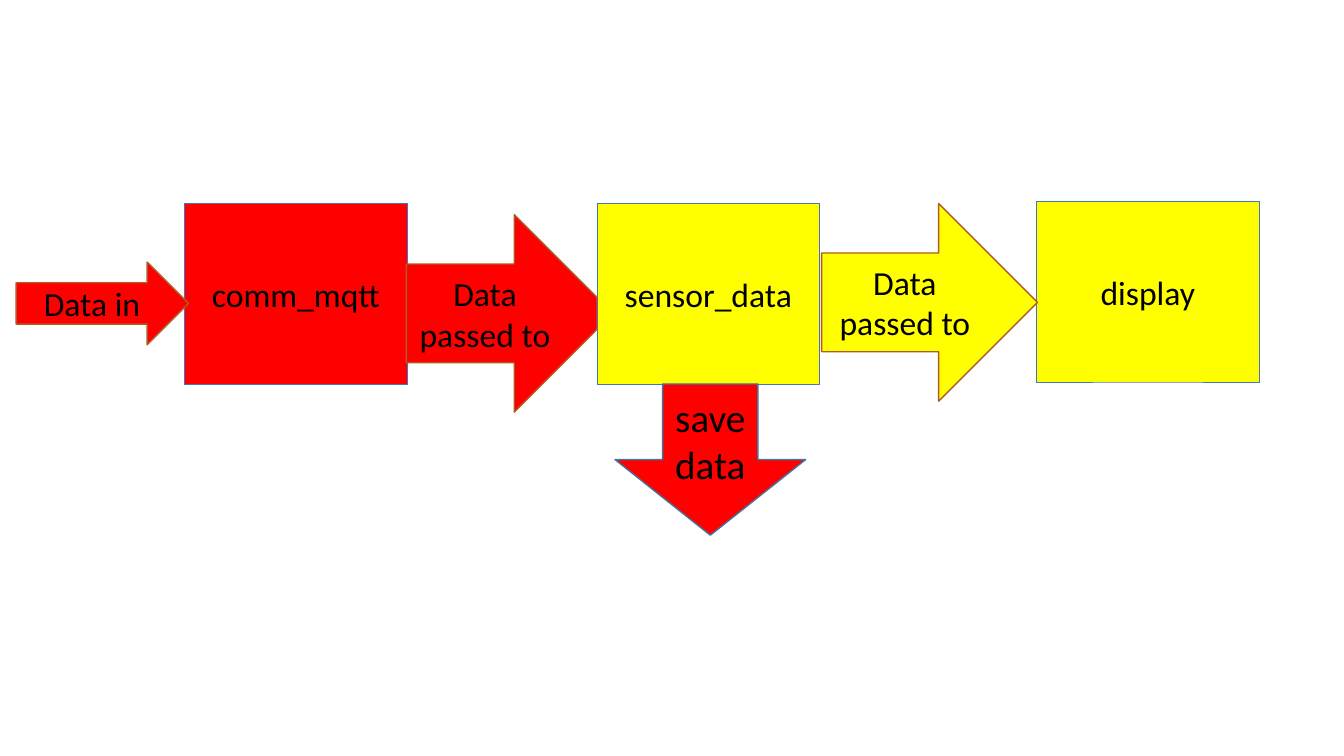
from pptx import Presentation
from pptx.dml.color import RGBColor
from pptx.enum.shapes import MSO_SHAPE
from pptx.enum.text import MSO_ANCHOR, PP_ALIGN
from pptx.util import Inches, Pt

RECT = MSO_SHAPE.RECTANGLE
RIGHT = MSO_SHAPE.RIGHT_ARROW
DOWN = MSO_SHAPE.DOWN_ARROW
MIDDLE = MSO_ANCHOR.MIDDLE
CENTER = PP_ALIGN.CENTER

COLORS = {
    "red": "FF0000",
    "yellow": "FFFF00",
    "blue": "4472C4",
    "brown": "AF5C24",
    "steel": "43739E",
    "black": "000000",
}
BOX_SIZE = (2.21, 1.79)


def color(name):
    return RGBColor.from_string(COLORS[name])


class Board:
    """Holds the text style and the slide being drawn."""

    def __init__(self, slide):
        self.slide = slide
        self.frame = {"word_wrap": True, "vertical_anchor": MIDDLE}
        self.font = {"name": "Calibri", "size": Pt(24)}

    def shape(self, kind, text, place, fill, line, width, **font):
        item = self.slide.shapes.add_shape(kind, *map(Inches, place))
        item.shadow.inherit = False
        item.fill.solid()
        item.fill.fore_color.rgb = color(fill)
        item.line.color.rgb = color(line)
        item.line.width = Pt(width)
        frame = item.text_frame
        for key, value in self.frame.items():
            setattr(frame, key, value)
        para = frame.paragraphs[0]
        para.alignment = CENTER
        run = para.add_run()
        run.text = text
        for key, value in {**self.font, **font}.items():
            setattr(run.font, key, value)
        run.font.color.rgb = color("black")

    def box(self, text, left, top, fill):
        self.shape(RECT, text, (left, top, *BOX_SIZE), fill, "blue", 0.5)

    def flow(self, text, place, fill):
        """Draw a block arrow that points right."""
        self.shape(RIGHT, text, place, fill, "brown", 1)

    def drop(self, text, place, fill):
        """Draw a block arrow that points down."""
        self.shape(DOWN, text, place, fill, "steel", 1, size=Pt(28))


def main():
    deck = Presentation()
    deck.slide_width = Inches(13.33)
    deck.slide_height = Inches(7.5)
    board = Board(deck.slides.add_slide(deck.slide_layouts[6]))

    board.box("comm_mqtt", 1.83, 2.02, "red")
    board.flow("Data in", (0.16, 2.6, 1.71, 0.82), "red")
    board.flow("Data passed to", (4.03, 2.13, 2.05, 1.96), "red")
    board.box("sensor_data", 5.92, 2.02, "yellow")
    board.box("display", 10.28, 2, "yellow")
    board.flow("Data passed to", (8.15, 2.02, 2.14, 1.96), "yellow")
    board.drop("save data", (6.1, 3.81, 1.89, 1.5), "red")

    deck.save("out.pptx")


if __name__ == "__main__":
    main()
